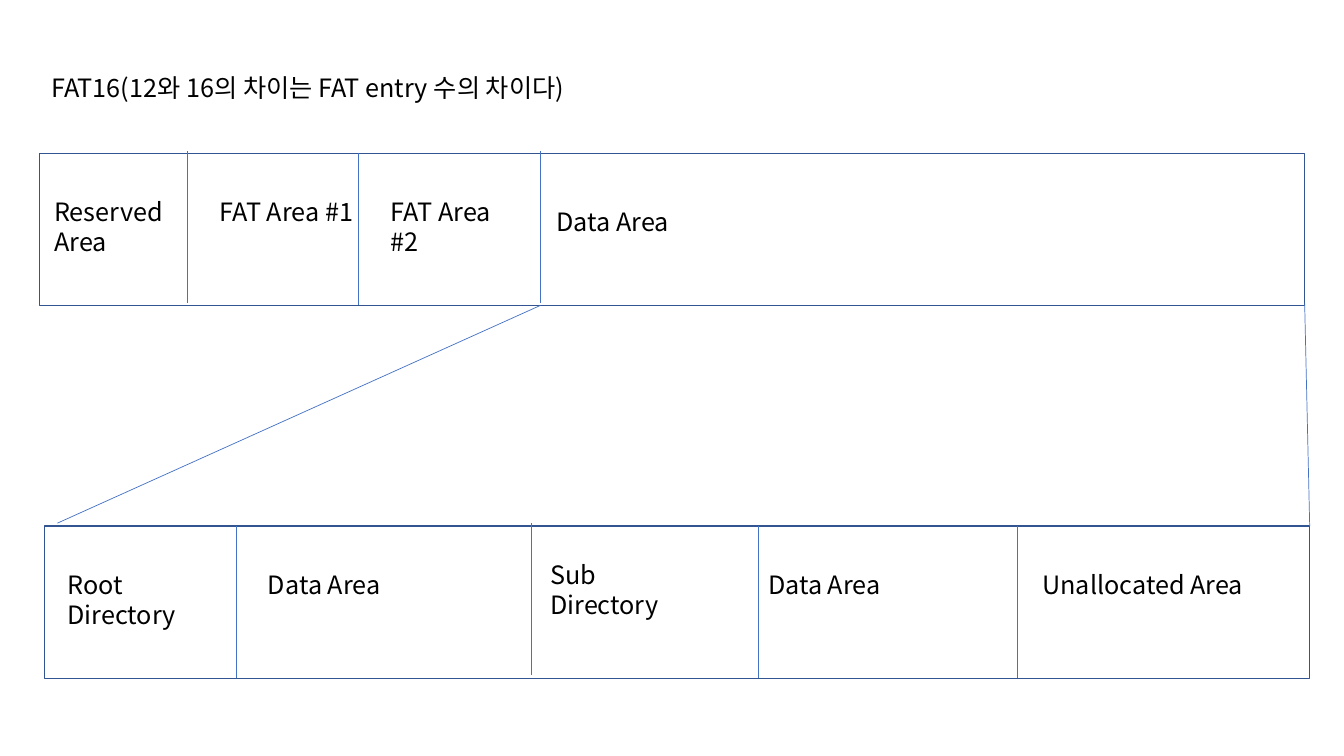
import pptx
import pptx.util
import pptx.dml.color
import pptx.enum.shapes
import pptx.oxml.ns
import lxml.etree

Inches = pptx.util.Inches
Pt = pptx.util.Pt
RGBColor = pptx.dml.color.RGBColor
qn = pptx.oxml.ns.qn

WHITE = RGBColor(0xFF, 0xFF, 0xFF)
BLACK = RGBColor(0, 0, 0)
NAVY = RGBColor(0x32, 0x54, 0x91)
BLUE = RGBColor(0x44, 0x72, 0xC4)


def write(frame, text, font, size=18, color=BLACK):
    """Fill a frame, one paragraph per line of text."""
    for i, line in enumerate(text.split("\n")):
        para = frame.add_paragraph() if i else frame.paragraphs[0]
        run = para.add_run()
        run.text = line
        run.font.size = Pt(size)
        run.font.name = font
        run.font.color.rgb = color
        # Korean letters take the East Asian font
        east = lxml.etree.SubElement(run._r.get_or_add_rPr(), qn("a:ea"))
        east.set("typeface", font)


class Pen:
    font = "Noto Sans CJK KR"

    def __init__(self, slide):
        self.slide = slide

    def box(self, left, top, width, height):
        shape = self.slide.shapes.add_shape(
            pptx.enum.shapes.MSO_SHAPE.RECTANGLE,
            Inches(left), Inches(top), Inches(width), Inches(height))
        shape.shadow.inherit = False
        shape.fill.solid()
        shape.fill.fore_color.rgb = WHITE
        shape.line.color.rgb = NAVY
        shape.line.width = Pt(1)

    def line(self, x1, y1, x2, y2):
        link = self.slide.shapes.add_connector(
            pptx.enum.shapes.MSO_CONNECTOR.STRAIGHT,
            Inches(x1), Inches(y1), Inches(x2), Inches(y2))
        link.line.color.rgb = BLUE
        link.line.width = Pt(0.5)
        lxml.etree.SubElement(link._element.spPr, qn("a:effectLst"))

    def label(self, text, left, top, width, height=0.4, **style):
        area = self.slide.shapes.add_textbox(
            Inches(left), Inches(top), Inches(width), Inches(height))
        area.text_frame.word_wrap = True
        write(area.text_frame, text, self.font, **style)


deck = pptx.Presentation()
deck.slide_width = Inches(13.33)
deck.slide_height = Inches(7.5)
pen = Pen(deck.slides.add_slide(deck.slide_layouts[6]))

# Title
pen.label("FAT16(12와 16의 차이는 FAT entry 수의 차이다)", 0.41, 0.67, 6.28)

# Both disk bars: left, top, and the start (x, y) of each divider
WIDE, HIGH = 12.55, 1.51
BARS = [
    (0.39, 1.52, [(1.86, 1.5), (3.55, 1.52), (5.36, 1.5)]),
    (0.44, 5.22, [(2.34, 5.22), (5.27, 5.19), (7.52, 5.22), (10.09, 5.22)]),
]
for left, top, cuts in BARS:
    pen.box(left, top, WIDE, HIGH)
    for x, y in cuts:
        pen.line(x, y, x, y + HIGH)

# Lines that open the data area into the lower bar
pen.line(5.36, 3.03, 0.57, 5.19)
pen.line(12.94, 3.01, 12.99, 5.22)

# Area names: text, left, top, width, height
AREAS = [
    ("Reserved Area", 0.44, 1.9, 1.53, 0.71),
    ("FAT Area #1", 2.08, 1.9, 1.53, 0.71),
    ("FAT Area\n#2", 3.78, 1.9, 1.53, 0.71),
    ("Data Area", 5.42, 2, 7.36, 0.4),
    ("Root\nDirectory", 0.57, 5.6, 1.29, 0.71),
    ("Data Area", 2.56, 5.6, 2.4, 0.4),
    ("Sub\nDirectory", 5.36, 5.5, 2, 0.71),
    ("Data Area", 7.52, 5.6, 2.44, 0.4),
    ("Unallocated Area", 10.24, 5.6, 2.45, 0.4),
]
for area in AREAS:
    pen.label(*area)

deck.save("out.pptx")
